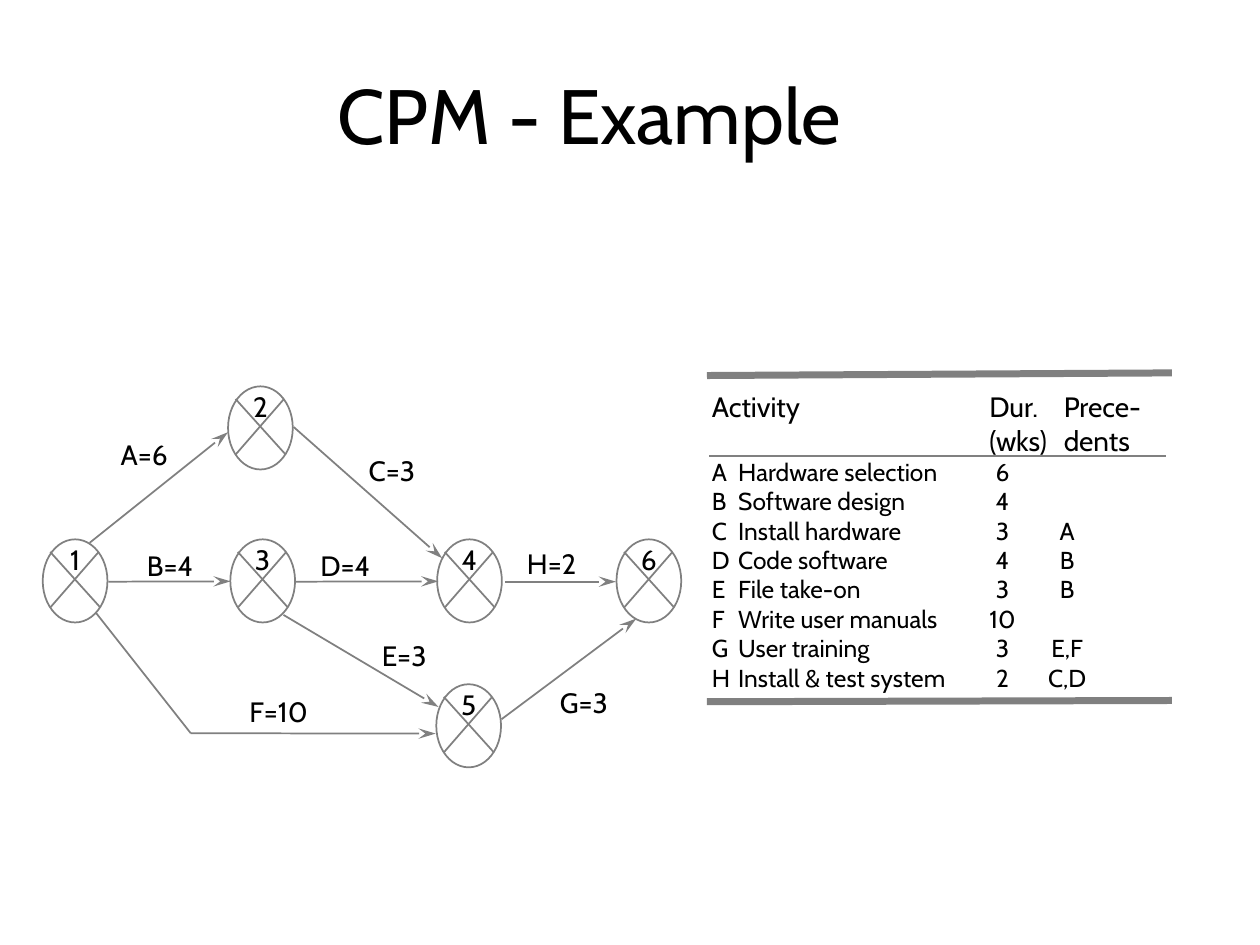
from lxml import etree
from pptx import Presentation
from pptx.dml.color import RGBColor
from pptx.enum.shapes import MSO_CONNECTOR, MSO_SHAPE
from pptx.enum.text import MSO_ANCHOR, PP_ALIGN
from pptx.oxml.ns import qn
from pptx.util import Pt

STRAIGHT = MSO_CONNECTOR.STRAIGHT
OVAL = MSO_SHAPE.OVAL
MIDDLE = MSO_ANCHOR.MIDDLE
LEFT, CENTER = PP_ALIGN.LEFT, PP_ALIGN.CENTER

COLORS = {"text": "000000", "line": "808080"}
FONT = "Cabin"

NODE_WIDTH, NODE_HEIGHT = 37, 47.5
LABEL_WIDTH, LABEL_HEIGHT = 56, 26.6
NODES = {
    "1": (0.4, 88.2), "2": (106.3, 0.8), "3": (107.6, 88.2),
    "4": (225.8, 88.2), "5": (225.3, 171), "6": (328.3, 88.2),
}
# Each activity: label, centre and top of the label, points of its route
ACTIVITIES = [
    ("A=6", (58.4, 26.4), [(27.2, 90.2), (106.3, 27)]),
    ("B=4", (73.2, 89.8), [(38, 112.4), (107.8, 112.2)]),
    ("C=3", (200, 35.6), [(143.8, 24), (228.7, 99)]),
    ("D=4", (173.3, 89.8), [(144.5, 112.4), (226.5, 112.2)]),
    ("E=3", (207, 141.4), [(138, 131.4), (226.6, 184)]),
    ("F=10", (135.2, 173.4), [(30.7, 130), (85, 199), (225, 199.2)]),
    ("G=3", (309.6, 168), [(262.6, 191), (339.6, 133.5)]),
    ("H=2", (291.2, 89), [(264.7, 112.4), (328, 112.4)]),
]

HEADINGS = ["Activity\tDur.\tPrece-", "\t(wks)\tdents"]
ROWS = [
    ("A", "Hardware selection", "6", ""),
    ("B", "Software design", "4", ""),
    ("C", "Install hardware", "3", "A"),
    ("D", "Code software", "4", "B"),
    ("E", "File take-on", "3", "B"),
    ("F", "Write user manuals", "10", ""),
    ("G", "User training", "3", "E,F"),
    ("H", "Install & test system", "2", "C,D"),
]
HEADING_TABS = [(158.5, "l"), (201, "l")]
ROW_TABS = [(15, "l"), (166, "ctr"), (203, "ctr")]


def color(name):
    return RGBColor.from_string(COLORS[name])


def format_para(para, size, align=LEFT):
    para.alignment = align
    para.font.name = FONT
    para.font.size = Pt(size)
    para.font.color.rgb = color("text")


def add_text(page, box, text, size, align=CENTER, wrap=False):
    left, top, width, height = box
    shape = page.shapes.add_textbox(Pt(left), Pt(top), Pt(width), Pt(height))
    frame = shape.text_frame
    frame.word_wrap = wrap
    frame.text = text
    for para in frame.paragraphs:
        format_para(para, size, align)
    return frame


def add_line(page, start, end, weight=1, arrow=False):
    line = page.shapes.add_connector(
        STRAIGHT, Pt(start[0]), Pt(start[1]), Pt(end[0]), Pt(end[1]))
    line.line.color.rgb = color("line")
    line.line.width = Pt(weight)
    if arrow:
        outline = line.line._get_or_add_ln()
        etree.SubElement(outline, qn("a:tailEnd"), type="stealth", w="med", len="lg")
    etree.SubElement(line._element.spPr, qn("a:effectLst"))


def add_tabs(para, stops):
    tabs = etree.SubElement(para._p.get_or_add_pPr(), qn("a:tabLst"))
    for position, align in stops:
        etree.SubElement(tabs, qn("a:tab"), pos=str(int(Pt(position))), algn=align)


def add_title(page, box):
    frame = add_text(page, box, "CPM - Example", 44, wrap=True)
    frame.vertical_anchor = MIDDLE


def add_label(page, center, top, text):
    box = (center - LABEL_WIDTH / 2, top, LABEL_WIDTH, LABEL_HEIGHT)
    add_text(page, box, text, 16)


def add_node(page, left, top, number):
    """Draw a crossed event circle with its number in the upper quarter."""
    circle = page.shapes.add_shape(
        OVAL, Pt(left), Pt(top), Pt(NODE_WIDTH), Pt(NODE_HEIGHT))
    circle.shadow.inherit = False
    circle.fill.background()
    circle.line.color.rgb = color("line")
    circle.line.width = Pt(1)
    add_line(page, (left + 32, top + 7.2), (left + 4.3, top + 39))
    add_line(page, (left + 4.3, top + 7.2), (left + 33, top + 39))
    add_label(page, left + NODE_WIDTH / 2, top - 1.5, number)


def add_network(page, left, top):
    for number, (x, y) in NODES.items():
        add_node(page, left + x, top + y, number)
    for label, (center, label_top), route in ACTIVITIES:
        points = [(left + x, top + y) for x, y in route]
        for start, end in zip(points, points[1:]):
            add_line(page, start, end, arrow=end == points[-1])
        add_label(page, left + center, top + label_top, label)


def add_activity_list(page, left, top, width, height):
    rows = ["\t".join(row).rstrip("\t") for row in ROWS]
    lines = HEADINGS + rows
    frame = add_text(page, (left - 4.2, top + 5.3, width + 36, height - 6),
                     "\n".join(lines), 14, LEFT)
    for index, para in enumerate(frame.paragraphs):
        is_heading = index < len(HEADINGS)
        add_tabs(para, HEADING_TABS if is_heading else ROW_TABS)
        format_para(para, 16 if is_heading else 14)
    right, bottom = left + width, top + height
    add_line(page, (left, bottom), (right, bottom - 0.7), 4)
    add_line(page, (left, top + 0.8), (right, top - 0.7), 4)
    add_line(page, (left + 1.4, top + 46.8), (right - 3.6, top + 46.8), 0.75)


def main():
    deck = Presentation()
    deck.slide_width, deck.slide_height = Pt(720), Pt(540)
    page = deck.slides.add_slide(deck.slide_layouts[6])
    add_title(page, (31, 20, 612, 90))
    add_network(page, 24, 220)
    add_activity_list(page, 404, 213.8, 265.6, 187.2)
    deck.save("out.pptx")


if __name__ == "__main__":
    main()
